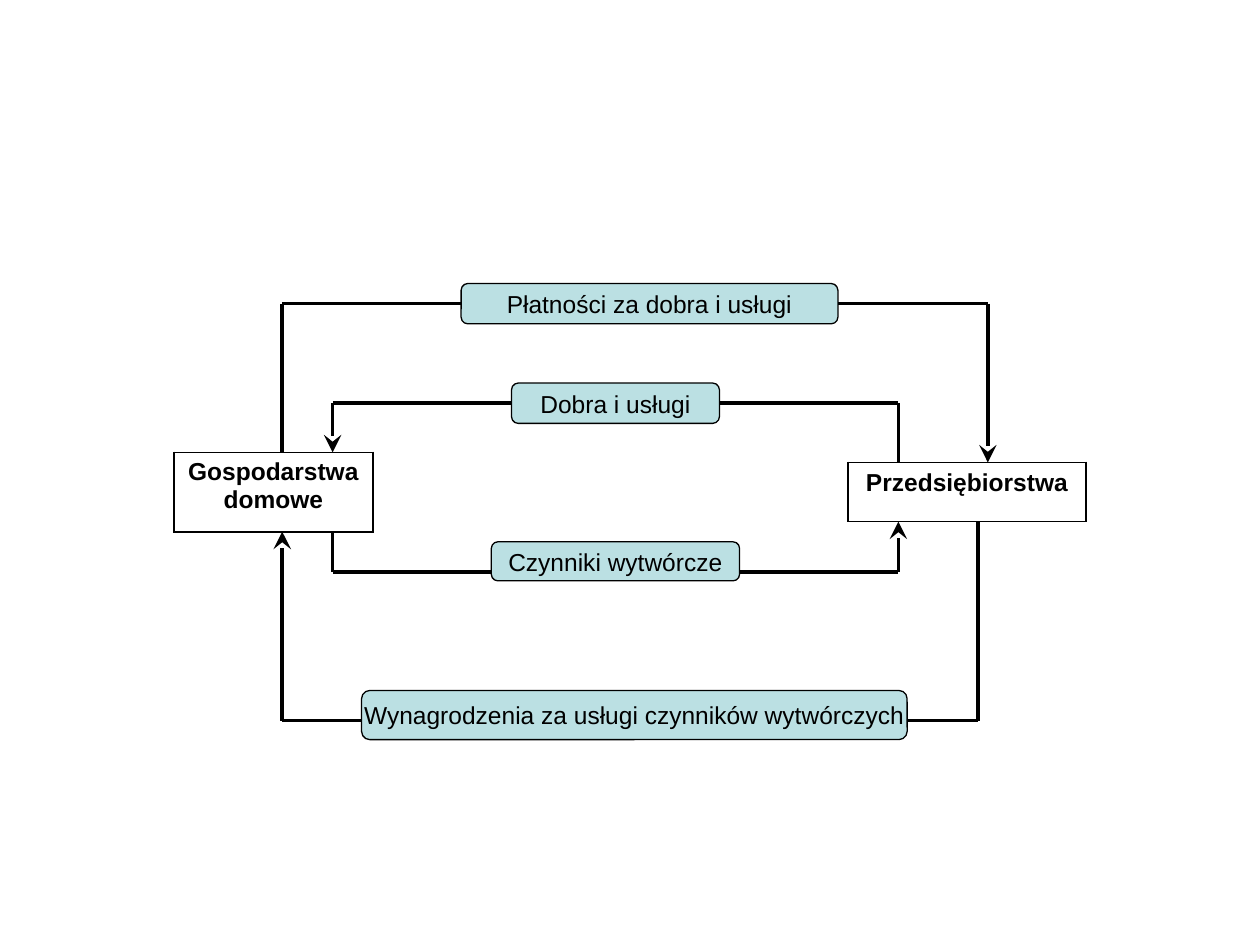
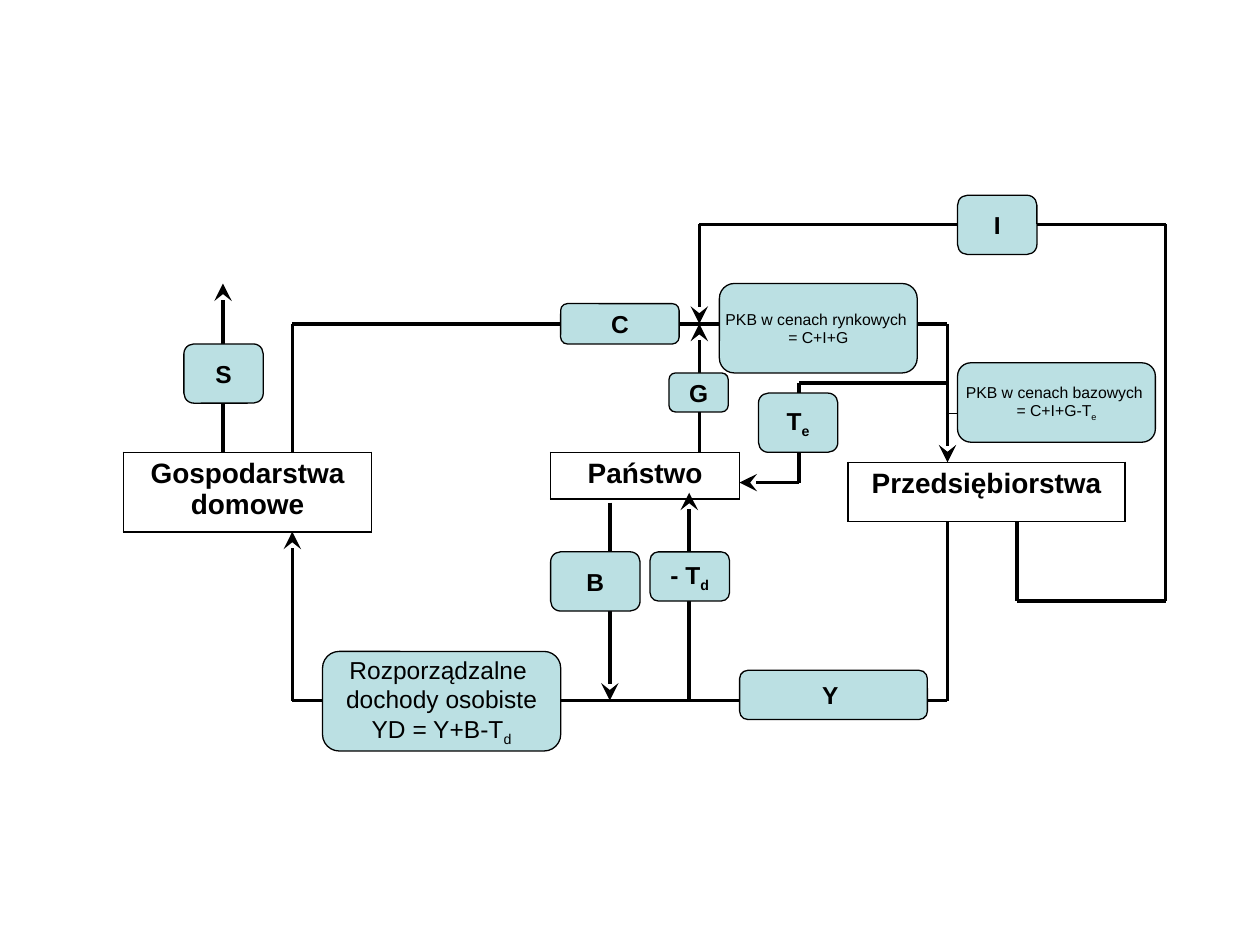
from dataclasses import dataclass
from itertools import pairwise

from lxml import etree
from pptx import Presentation
from pptx.dml.color import RGBColor
from pptx.enum import shapes, text
from pptx.oxml import ns
from pptx.util import Inches, Pt


@dataclass(frozen=True)
class Theme:
    """Colours, type sizes and line widths shared by the slides."""

    ink: RGBColor = RGBColor(0x00, 0x00, 0x00)
    label_fill: RGBColor = RGBColor(0xBB, 0xE0, 0xE3)
    font: str = "Arial"
    label_size: float = 14
    note_size: float = 9
    flow_width: float = 2
    outline: float = 0.75
    border: float = 1.08


THEME = Theme()


def write(frame, content, size=THEME.label_size, bold=False, before=0):
    """Write centred text; a newline breaks the line, an underscore lowers what follows."""
    para = frame.paragraphs[0]
    para.alignment = text.PP_ALIGN.CENTER
    para.space_before = Pt(before)
    for number, line in enumerate(content.split("\n")):
        if number:
            para.add_line_break()
        for lowered, words in enumerate(line.split("_")):
            span = para.add_run()
            span.text = words
            span.font.name = THEME.font
            span.font.size = Pt(size)
            span.font.bold = bold
            span.font.color.rgb = THEME.ink
            if lowered:
                span.font._element.set("baseline", "-25000")


def add_border(cell):
    """Draw a solid border on every side of a table cell."""
    properties = cell._tc.get_or_add_tcPr()
    for position, side in enumerate(("lnL", "lnR", "lnT", "lnB")):
        line = etree.Element(ns.qn(f"a:{side}"), w=str(Pt(THEME.border)))
        fill = etree.SubElement(line, ns.qn("a:solidFill"))
        etree.SubElement(fill, ns.qn("a:srgbClr"), val=str(THEME.ink))
        properties.insert(position, line)


def add_sector(page, name, left, top, width, height, size):
    """Add a sector of the economy as a bordered one-cell table."""
    frame = page.shapes.add_table(
        1, 1, Inches(left), Inches(top), Inches(width), Inches(height))
    table = frame.table
    table.first_row = table.horz_banding = False
    cell = table.cell(0, 0)
    cell.fill.background()
    add_border(cell)
    write(cell.text_frame, name, size=size, bold=True, before=size / 4)


def add_label(page, content, left, top, width, height, **style):
    """Add a rounded label that names a flow."""
    box = page.shapes.add_shape(
        shapes.MSO_SHAPE.ROUNDED_RECTANGLE,
        Inches(left), Inches(top), Inches(width), Inches(height))
    box.shadow.inherit = False
    box.fill.solid()
    box.fill.fore_color.rgb = THEME.label_fill
    box.line.color.rgb = THEME.ink
    box.line.width = Pt(THEME.outline)
    frame = box.text_frame
    frame.word_wrap = False
    frame.vertical_anchor = text.MSO_ANCHOR.MIDDLE
    write(frame, content, **style)


def add_flow(page, *points, arrow=True, width=THEME.flow_width):
    """Join points with straight lines, with an arrowhead at the last one."""
    for start, end in pairwise(points):
        line = page.shapes.add_connector(
            shapes.MSO_CONNECTOR.STRAIGHT, *map(Inches, start + end))
        line.line.color.rgb = THEME.ink
        line.line.width = Pt(width)
        etree.SubElement(line._element.spPr, ns.qn("a:effectLst"))
    if arrow:
        etree.SubElement(line.line._get_or_add_ln(), ns.qn("a:tailEnd"),
                         type="stealth", w="lg", len="lg")


def add_loop(page, start, level, end):
    """Lead a flow from one sector to another along a horizontal level."""
    add_flow(page, start, (start[0], level), (end[0], level), end)


def build_two_sectors(page):
    """Show the circular flow between households and firms."""
    home_top, home_bottom, firm_top, firm_bottom = 3.59, 4.22, 3.67, 4.14
    add_sector(page, "Gospodarstwa domowe", 1.38, home_top, 1.58, 0.63, 14)
    add_sector(page, "Przedsiębiorstwa", 6.73, firm_top, 1.89, 0.47, 14)

    add_loop(page, (2.24, home_top), 2.41, (7.84, firm_top))
    add_loop(page, (7.13, firm_top), 3.2, (2.64, home_top))
    add_loop(page, (2.64, home_bottom), 4.54, (7.13, firm_bottom))
    add_loop(page, (7.76, firm_bottom), 5.72, (2.24, home_bottom))

    add_label(page, "Płatności za dobra i usługi", 3.66, 2.25, 2.99, 0.32)
    add_label(page, "Dobra i usługi", 4.06, 3.04, 1.65, 0.32)
    add_label(page, "Czynniki wytwórcze", 3.9, 4.3, 1.97, 0.31)
    add_label(page, "Wynagrodzenia za usługi czynników wytwórczych",
              2.87, 5.48, 4.33, 0.39)


def build_three_sectors(page):
    """Show the circular flow with the state, saving and investment."""
    home_top, home_bottom, firm_top, firm_bottom = 3.59, 4.22, 3.67, 4.14
    spending, income = 2.57, 5.56
    home_x, firm_x, demand_x, invest_x = 2.32, 7.52, 5.55, 9.25
    add_sector(page, "Gospodarstwa domowe", 0.98, home_top, 1.97, 0.63, 16)
    add_sector(page, "Przedsiębiorstwa", 6.73, firm_top, 2.2, 0.47, 16)
    add_sector(page, "Państwo", 4.37, home_top, 1.5, 0.37, 16)

    add_loop(page, (home_x, home_top), spending, (firm_x, firm_top))
    add_loop(page, (firm_x, firm_bottom), income, (home_x, home_bottom))
    add_flow(page, (1.77, home_top), (1.77, 2.25))
    add_flow(page, (demand_x, home_top), (demand_x, spending))
    add_flow(page, (8.07, firm_bottom), (8.07, 4.77), (invest_x, 4.77),
             (invest_x, 1.78), (demand_x, 1.78), (demand_x, spending))
    add_flow(page, (firm_x, 3.04), (6.34, 3.04), (6.34, 3.83), (5.87, 3.83))
    add_flow(page, (5.47, income), (5.47, 3.91))
    add_flow(page, (4.84, 3.99), (4.84, income))
    add_flow(page, (firm_x, 3.28), (7.6, 3.28),
             arrow=False, width=THEME.outline)

    symbols = [
        ("S", 1.46, 2.73, 0.63, 0.47),
        ("C", 4.45, 2.41, 0.94, 0.32),
        ("G", 5.31, 2.96, 0.47, 0.31),
        ("I", 7.6, 1.55, 0.63, 0.47),
        ("T_e", 6.02, 3.12, 0.63, 0.47),
        ("B", 4.37, 4.38, 0.71, 0.47),
        ("- T_d", 5.16, 4.38, 0.63, 0.39),
        ("Y ", 5.87, 5.32, 1.49, 0.39),
    ]
    for symbol in symbols:
        add_label(page, *symbol, bold=True)
    add_label(page, "PKB w cenach rynkowych \n= C+I+G",
              5.71, 2.25, 1.57, 0.71, size=THEME.note_size)
    add_label(page, "PKB w cenach bazowych \n= C+I+G-T_e",
              7.6, 2.88, 1.57, 0.63, size=THEME.note_size)
    add_label(page, "Rozporządzalne \ndochody osobiste\nYD = Y+B-T_d",
              2.56, 5.17, 1.89, 0.79)


def main():
    """Build both diagrams and save the deck."""
    deck = Presentation()
    deck.slide_width, deck.slide_height = Inches(10), Inches(7.5)
    blank = deck.slide_layouts[6]
    for build in (build_two_sectors, build_three_sectors):
        build(deck.slides.add_slide(blank))
    deck.save("out.pptx")


if __name__ == "__main__":
    main()
